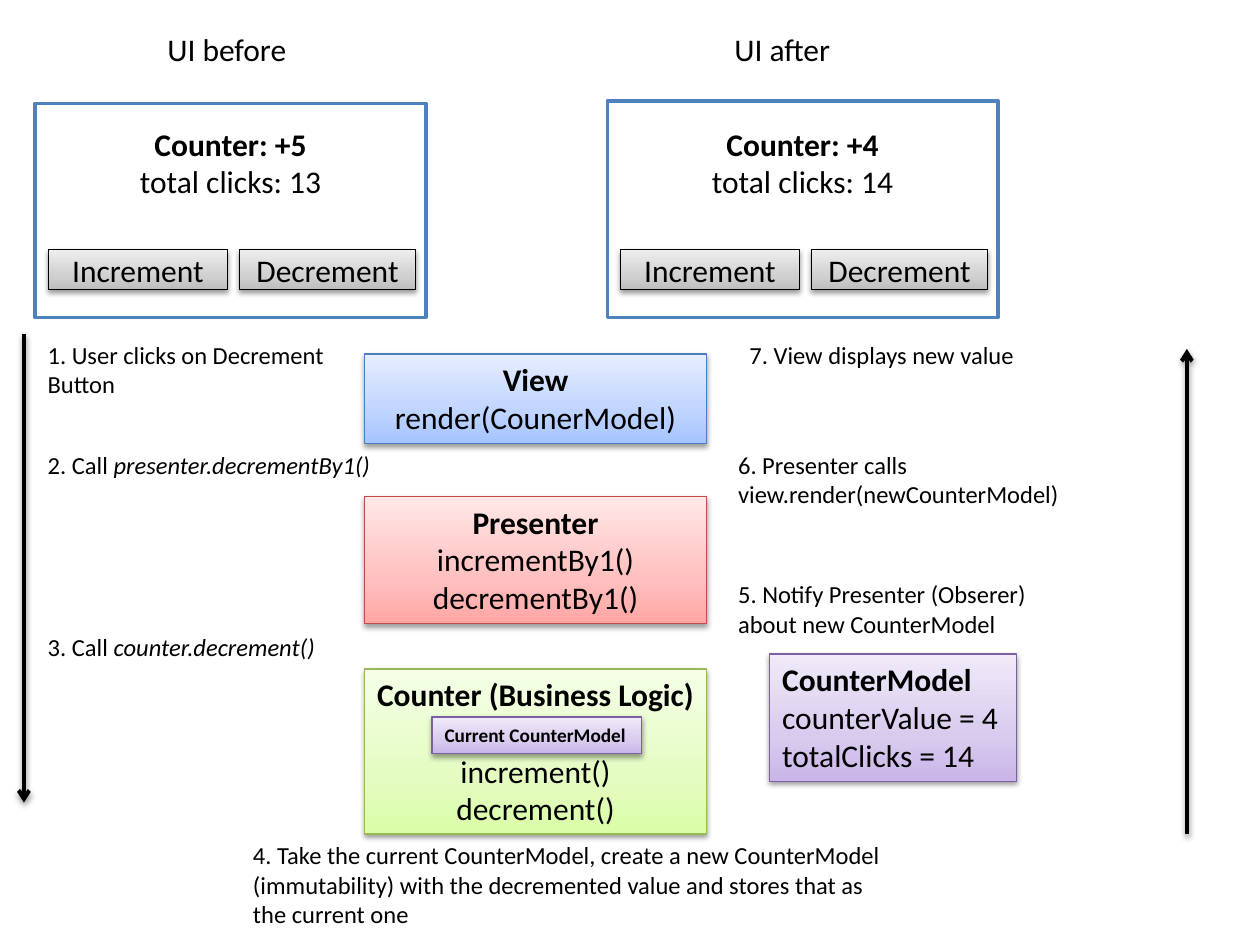
from copy import deepcopy

from lxml import etree
from pptx import Presentation
from pptx.dml.color import RGBColor
from pptx.enum.shapes import MSO_CONNECTOR, MSO_SHAPE
from pptx.enum.text import MSO_ANCHOR, MSO_AUTO_SIZE, PP_ALIGN
from pptx.oxml import parse_xml
from pptx.oxml.ns import nsdecls, qn
from pptx.util import Inches, Pt

RECTANGLE, STRAIGHT = MSO_SHAPE.RECTANGLE, MSO_CONNECTOR.STRAIGHT
LEFT, CENTER = PP_ALIGN.LEFT, PP_ALIGN.CENTER
TOP, MIDDLE = MSO_ANCHOR.TOP, MSO_ANCHOR.MIDDLE
GROW, FIXED = MSO_AUTO_SIZE.SHAPE_TO_FIT_TEXT, MSO_AUTO_SIZE.NONE

BLACK = RGBColor(0x00, 0x00, 0x00)
WHITE = RGBColor(0xFF, 0xFF, 0xFF)
FRAME_BLUE = RGBColor(0x4F, 0x81, 0xBD)

# Each theme: line colour, then gradient colours from bottom to top
GRAY = (BLACK, RGBColor(0xBD, 0xBD, 0xBD), RGBColor(0xD1, 0xD1, 0xD1), RGBColor(0xEE, 0xEE, 0xEE))
BLUE = (RGBColor(0x4B, 0x7E, 0xBC), RGBColor(0xA4, 0xC4, 0xFF),
        RGBColor(0xBF, 0xD4, 0xFF), RGBColor(0xE6, 0xEE, 0xFF))
RED = (RGBColor(0xBF, 0x4C, 0x48), RGBColor(0xFF, 0xA6, 0xA5),
       RGBColor(0xFF, 0xC0, 0xBF), RGBColor(0xFF, 0xE7, 0xE7))
GREEN = (RGBColor(0x98, 0xB9, 0x55), RGBColor(0xDA, 0xFD, 0xA7),
         RGBColor(0xE4, 0xFC, 0xC2), RGBColor(0xF5, 0xFF, 0xE7))
PURPLE = (RGBColor(0x7D, 0x60, 0xA0), RGBColor(0xC9, 0xB5, 0xE8),
          RGBColor(0xD8, 0xCB, 0xEE), RGBColor(0xF0, 0xEA, 0xF9))
STOPS = (0, 0.35, 1)

BOLD, ITALIC = {"bold": True}, {"italic": True}
SHADOW = (
    f'<a:effectLst {nsdecls("a")}><a:outerShdw blurRad="{Pt(3.1)}" dist="{Pt(1.6)}" '
    'dir="5400000" rotWithShape="0"><a:srgbClr val="000000"><a:alpha val="38000"/>'
    '</a:srgbClr></a:outerShdw></a:effectLst>'
)


class Diagram:
    """Draws on one slide, on a grid of 100 columns by 75 rows."""

    font_name = "Calibri"

    def __init__(self, presentation):
        self.cell = presentation.slide_width / 100
        self.slide = presentation.slides.add_slide(presentation.slide_layouts[6])

    def grid(self, *lengths):
        return [round(length * self.cell) for length in lengths]

    def set_text(self, shape, paragraphs, size=18, align=LEFT, **frame_format):
        """Fill a shape with paragraphs, each a list of (text, font format) runs."""
        frame = shape.text_frame
        frame_values = {"word_wrap": True, "auto_size": GROW, "vertical_anchor": TOP}
        for name, value in {**frame_values, **frame_format}.items():
            setattr(frame, name, value)
        for index, runs in enumerate(paragraphs):
            paragraph = frame.add_paragraph() if index else frame.paragraphs[0]
            paragraph.alignment = align
            for text, font_format in runs:
                if text == "\n":
                    paragraph.add_line_break()
                    continue
                run = paragraph.add_run()
                run.text = text
                values = {"name": self.font_name, "size": Pt(size), **font_format}
                for name, value in values.items():
                    setattr(run.font, name, value)
                run.font.color.rgb = BLACK

    def label(self, place, *runs, **text_format):
        shape = self.slide.shapes.add_textbox(*self.grid(*place))
        self.set_text(shape, [runs], **text_format)

    def frame(self, place):
        shape = self.slide.shapes.add_shape(RECTANGLE, *self.grid(*place))
        shape.shadow.inherit = False
        shape.fill.solid()
        shape.fill.fore_color.rgb = WHITE
        shape.line.color.rgb = FRAME_BLUE
        shape.line.width = Pt(2)

    def box(self, place, theme, heading, methods=(), **text_format):
        """Add a shaded box with a heading and lines below; return its paragraphs."""
        line_color, *colors = theme
        shape = self.slide.shapes.add_shape(RECTANGLE, *self.grid(*place))
        shape.fill.gradient()
        shape.fill.gradient_angle = 90
        stop_list = shape._element.spPr.find(".//" + qn("a:gsLst"))
        stop_list.insert(1, deepcopy(stop_list[0]))
        for stop, position, color in zip(shape.fill.gradient_stops, STOPS, colors):
            stop.position = position
            stop.color.rgb = color
        shape.line.color.rgb = line_color
        shape.line.width = Pt(0.75)
        self.cast_shadow(shape)
        self.set_text(shape, [[heading]] + [[(method, {})] for method in methods], **text_format)
        return shape.text_frame.paragraphs

    def arrow(self, column, start_row, end_row):
        ends = self.grid(column, start_row, column, end_row)
        connector = self.slide.shapes.add_connector(STRAIGHT, *ends)
        connector.line.color.rgb = BLACK
        connector.line.width = Pt(2.25)
        line = connector._element.spPr.find(qn("a:ln"))
        etree.SubElement(line, qn("a:tailEnd"), type="arrow")
        self.cast_shadow(connector)

    def cast_shadow(self, shape):
        shape._element.spPr.append(parse_xml(SHADOW))


presentation = Presentation()
presentation.slide_width, presentation.slide_height = Inches(10), Inches(7.5)
diagram = Diagram(presentation)

# The two user interface states: title, title place, frame left, frame top, values
states = (
    ("UI before", (12.3, 1.9, 13.7, 4), 2.8, 8.2, "+5", 13),
    ("UI after", (57.3, 1.9, 12.3, 4), 48.2, 8, "+4", 14),
)
for title, title_place, left, top, value, clicks in states:
    diagram.frame((left, top, 31, 25.2 - top))
    for text, offset, width in (("Increment", 1.05, 14.2), ("Decrement", 16.2, 14)):
        diagram.box((left + offset, 19.8, width, 3.2), GRAY, (text, {}),
                    align=CENTER, auto_size=FIXED, vertical_anchor=MIDDLE)
    diagram.label((left, 9.4, 31, 10.1), (f"Counter: {value}", BOLD), ("\n", {}),
                  (f"total clicks: {clicks}", {}), align=CENTER)
    diagram.label(title_place, (title, {}))

# The central stack of components
components = (
    (28.1, 7.1, BLUE, "View", ("render(CounerModel)",)),
    (39.4, 10.1, RED, "Presenter", ("incrementBy1()", "decrementBy1()")),
    (53.1, 13.1, GREEN, "Counter (Business Logic)", ("increment()", "decrement()")),
)
for top, height, theme, name, methods in components:
    paragraphs = diagram.box((28.9, top, 27.2, height), theme, (name, BOLD), methods, align=CENTER)
# Room in the last component for the current model
paragraphs[1].space_before = Pt(22)

# The models
diagram.box((61.1, 51.9, 19.6, 10.1), PURPLE, ("CounterModel", BOLD),
            ("counterValue = 4", "totalClicks = 14"), word_wrap=False)
diagram.box((34.3, 56.9, 16.6, 2.9), PURPLE, ("Current CounterModel", BOLD),
            size=11, word_wrap=False)

# The numbered steps
steps = (
    ((2.8, 26.5, 25, 5.7), "1. User clicks on Decrement Button", ""),
    ((2.8, 35.2, 29.9, 3.4), "2. Call ", "presenter.decrementBy1()"),
    ((2.8, 49.7, 29.9, 3.4), "3. Call ", "counter.decrement()"),
    ((19.1, 66.2, 52.3, 8.1), "4. Take the current CounterModel, create a new CounterModel "
     "(immutability) with the decremented value and stores that as the current one", ""),
    ((57.6, 45.5, 29.9, 5.7), "5. Notify Presenter (Obserer) about new CounterModel", ""),
    ((57.6, 35.2, 38.7, 5.7), "6. Presenter calls view.render(newCounterModel)", ""),
    ((58.5, 26.5, 34.6, 3.4), "7. View displays new value", ""),
)
for place, text, call in steps:
    runs = [(text, {})] + ([(call, ITALIC)] if call else [])
    diagram.label(place, *runs, size=14)

# The flow down and back up
diagram.arrow(1.9, 26.5, 63.7)
diagram.arrow(94.2, 66.2, 27.7)

presentation.save("out.pptx")
